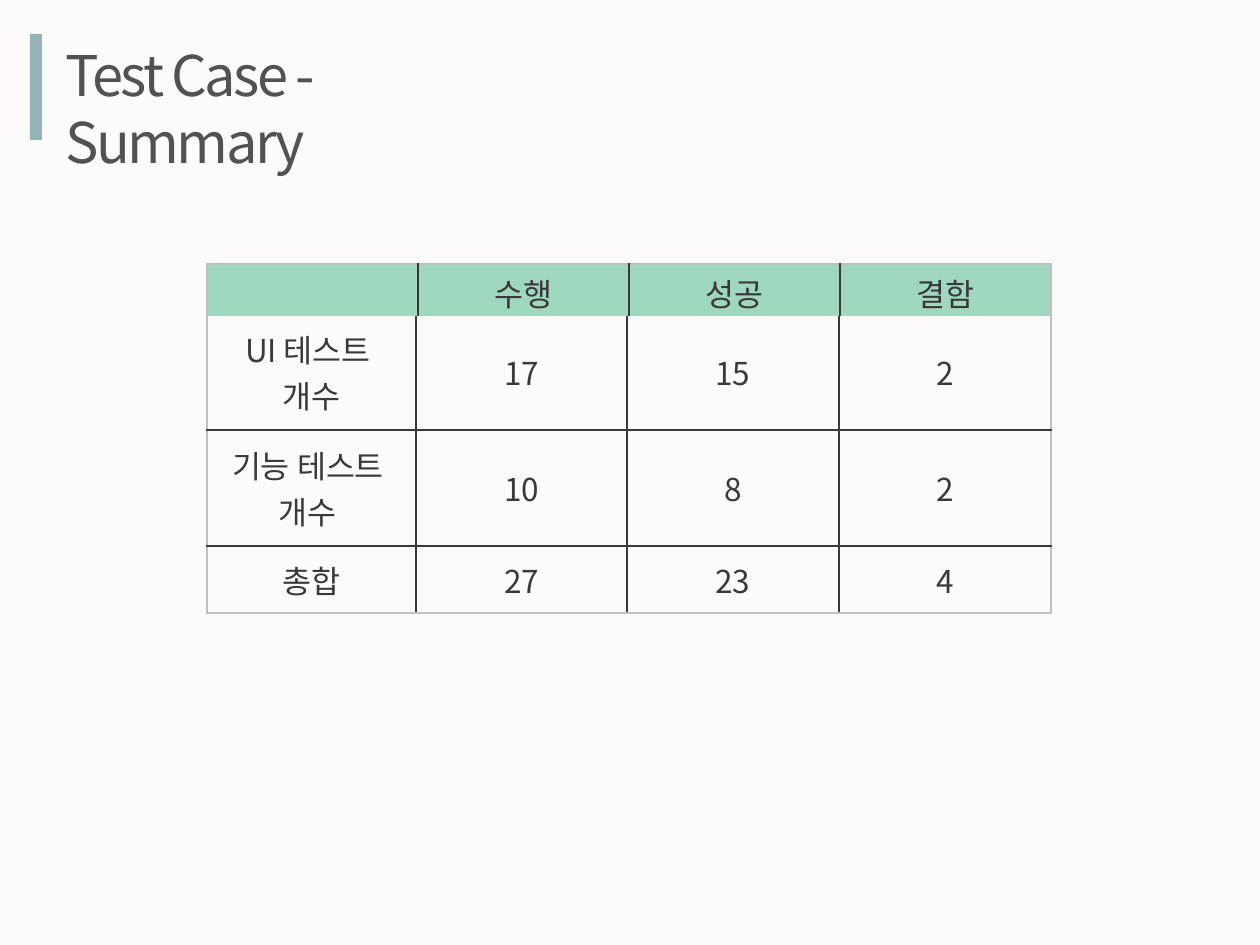
from lxml import etree
from pptx import Presentation, util as u
from pptx.dml.color import RGBColor
from pptx.enum import shapes, text
from pptx.oxml import ns

PX = u.Inches(1) // 126
FONT = "Noto Sans CJK KR"
PAPER = RGBColor(0xFC, 0xFB, 0xFA)
TITLE_GREY = RGBColor(0x52, 0x52, 0x52)
ACCENT = RGBColor(0x94, 0xB4, 0xB3)
INK = RGBColor(0x3A, 0x38, 0x38)
MINT = RGBColor(0x9F, 0xD7, 0xBF)
FRAME = RGBColor(0xBF, 0xBF, 0xBF)

TITLE_FORMAT = {"name": FONT, "size": u.Pt(32)}
CELL_FORMAT = {"name": FONT, "size": u.Pt(18)}


def write(paragraph, words, color, font_format):
    run = paragraph.add_run()
    run.text = words
    run.font.color.rgb = color
    for key, value in font_format.items():
        setattr(run.font, key, value)
    properties = run._r.get_or_add_rPr()
    etree.SubElement(properties, ns.qn("a:ea"), typeface=FONT)
    return properties


def add_border(cell, side, color):
    line = etree.SubElement(cell._tc.get_or_add_tcPr(), ns.qn(f"a:ln{side}"), w=str(u.Pt(1)))
    if color is None:
        etree.SubElement(line, ns.qn("a:noFill"))
    else:
        solid = etree.SubElement(line, ns.qn("a:solidFill"))
        etree.SubElement(solid, ns.qn("a:srgbClr"), val=str(color))


deck = Presentation()
deck.slide_width, deck.slide_height = 1260 * PX, 945 * PX
slide = deck.slides.add_slide(deck.slide_layouts[6])
slide.background.fill.solid()
slide.background.fill.fore_color.rgb = PAPER

title = slide.shapes.add_textbox(53 * PX, 34 * PX, 426 * PX, 81 * PX)
title.text_frame.word_wrap = True
title_run = write(title.text_frame.paragraphs[0], "Test Case - Summary", TITLE_GREY, TITLE_FORMAT)
title_run.set("spc", "-150")

accent_bar = slide.shapes.add_shape(
    shapes.MSO_SHAPE.RECTANGLE, 30 * PX, 34 * PX, 12 * PX, 106 * PX)
accent_bar.shadow.inherit = False
accent_bar.fill.solid()
accent_bar.fill.fore_color.rgb = ACCENT
accent_bar.line.fill.background()

results = {
    "top": 314, "widths": [209, 211, 212, 212], "heights": [116, 116, 67],
    "fill": None, "edges": {"T": None, "B": FRAME}, "bottom_margin": 6,
    "rows": [
        ["UI 테스트 \n개수", "17", "15", "2"],
        ["기능 테스트 \n개수 ", "10", "8", "2"],
        ["총합", "27", "23", "4"],
    ],
}
header = {
    "top": 264, "widths": [211] * 4, "heights": [52],
    "fill": MINT, "edges": {"T": FRAME, "B": None}, "bottom_margin": 0,
    "rows": [["", "수행", "성공", "결함"]],
}

for part in (results, header):
    widths, heights = part["widths"], part["heights"]
    table = slide.shapes.add_table(
        len(heights), len(widths), 207 * PX, part["top"] * PX,
        sum(widths) * PX, sum(heights) * PX).table
    table.first_row = table.horz_banding = False
    for column, width in zip(table.columns, widths):
        column.width = width * PX
    for r, (height, labels) in enumerate(zip(heights, part["rows"])):
        table.rows[r].height = height * PX
        for c, label in enumerate(labels):
            cell = table.cell(r, c)
            borders = {
                "L": FRAME if c == 0 else INK,
                "R": FRAME if c == len(widths) - 1 else INK,
                "T": part["edges"]["T"] if r == 0 else INK,
                "B": part["edges"]["B"] if r == len(heights) - 1 else INK,
            }
            for side, color in borders.items():
                add_border(cell, side, color)
            if part["fill"] is None:
                cell.fill.background()
            else:
                cell.fill.solid()
                cell.fill.fore_color.rgb = part["fill"]
            cell.vertical_anchor = text.MSO_ANCHOR.MIDDLE
            cell.margin_top, cell.margin_bottom = 6 * PX, part["bottom_margin"] * PX
            for i, words in enumerate(label.split("\n")):
                frame = cell.text_frame
                paragraph = frame.add_paragraph() if i else frame.paragraphs[0]
                paragraph.alignment = text.PP_ALIGN.CENTER
                if words:
                    write(paragraph, words, INK, CELL_FORMAT)

deck.save("out.pptx")
